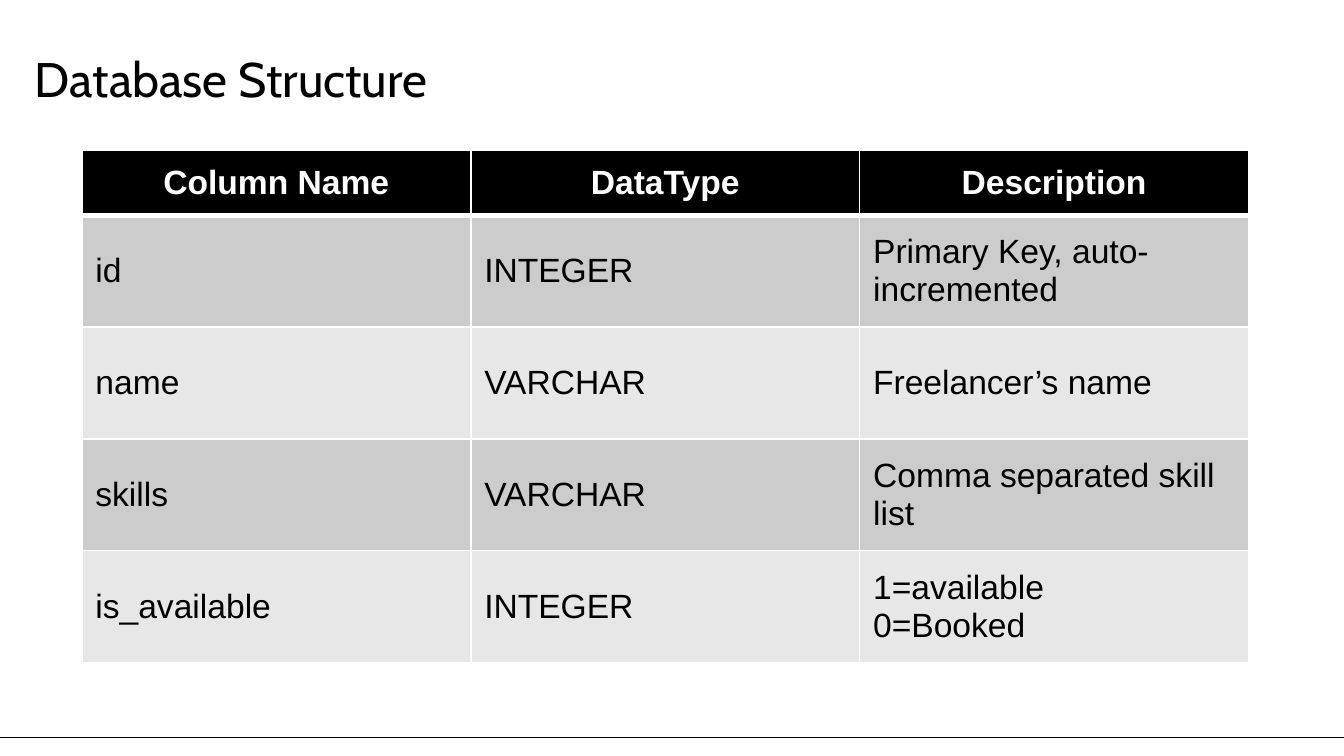
from lxml import etree
from pptx import Presentation
from pptx.dml.color import RGBColor
from pptx.enum.shapes import MSO_CONNECTOR
from pptx.enum.text import MSO_ANCHOR, MSO_AUTO_SIZE, PP_ALIGN
from pptx.oxml.ns import qn
from pptx.util import Inches, Pt

LEFT, CENTER = PP_ALIGN.LEFT, PP_ALIGN.CENTER
MIDDLE, BOTTOM = MSO_ANCHOR.MIDDLE, MSO_ANCHOR.BOTTOM
STRAIGHT = MSO_CONNECTOR.STRAIGHT
NO_FIT = MSO_AUTO_SIZE.NONE
TITLE_ONLY = 5

BLACK, WHITE = "000000", "FFFFFF"
BANDS = ["CCCCCC", "E7E7E7"]
ROWS = [
    ["Column Name", "DataType", "Description"],
    ["id", "INTEGER", "Primary Key, auto-incremented"],
    ["name", "VARCHAR", "Freelancer’s name"],
    ["skills", "VARCHAR", "Comma separated skill list"],
    ["is_available", "INTEGER", "1=available\n0=Booked"],
]


def color(code):
    return RGBColor.from_string(code)


def write(frame, text, size=18, font="Arial", ink=BLACK, bold=False,
          align=LEFT):
    """Fill a text frame; each line of text becomes a paragraph."""
    frame.text = text
    for para in frame.paragraphs:
        para.alignment = align
        for run in para.runs:
            run.font.size = Pt(size)
            run.font.name = font
            run.font.bold = bold
            run.font.color.rgb = color(ink)


def add_title(slide, text):
    title = slide.shapes.title
    title.left, title.top = Inches(0.16), Inches(0.13)
    title.width, title.height = Inches(4.71), Inches(0.77)
    frame = title.text_frame
    frame.auto_size = NO_FIT
    frame.word_wrap = True
    frame.vertical_anchor = BOTTOM
    frame.margin_left = frame.margin_right = Inches(0.1)
    frame.margin_top = frame.margin_bottom = Inches(0.1)
    write(frame, text, size=26, font="Cabin")


def add_rule(slide, top):
    rule = slide.shapes.add_connector(
        STRAIGHT, 0, Inches(top), Inches(10), Inches(top))
    rule.line.color.rgb = color(BLACK)
    rule.line.width = Pt(0.75)
    etree.SubElement(rule._element.spPr, qn("a:effectLst"))


def set_edges(cell, top=1, bottom=1):
    """Draw white cell borders; widths are in points."""
    props = cell._tc.get_or_add_tcPr()
    for side, width in (("L", 1), ("R", 1), ("T", top), ("B", bottom)):
        edge = etree.SubElement(props, qn("a:ln" + side), w=str(Pt(width)))
        fill = etree.SubElement(edge, qn("a:solidFill"))
        etree.SubElement(fill, qn("a:srgbClr"), val=WHITE)


def add_grid(slide, rows):
    width, height, top_row = Inches(8.68), Inches(3.81), Inches(0.48)
    table = slide.shapes.add_table(
        len(rows), len(rows[0]), Inches(0.61), Inches(1.12),
        width, height).table
    body_row = (height - top_row) // (len(rows) - 1)
    for col in table.columns:
        col.width = width // len(rows[0])
    for r, texts in enumerate(rows):
        head = r == 0
        table.rows[r].height = top_row if head else body_row
        for c, text in enumerate(texts):
            cell = table.cell(r, c)
            # The rule under the header is shared with the first body row
            set_edges(cell, top=3 if r == 1 else 1, bottom=3 if head else 1)
            cell.fill.solid()
            cell.fill.fore_color.rgb = color(
                BLACK if head else BANDS[(r - 1) % 2])
            cell.vertical_anchor = MIDDLE
            write(cell.text_frame, text, ink=WHITE if head else BLACK,
                  bold=head, align=CENTER if head else LEFT)


def main():
    # A 16:9 slide
    deck = Presentation()
    deck.slide_width = Inches(10)
    deck.slide_height = deck.slide_width * 9 // 16
    slide = deck.slides.add_slide(deck.slide_layouts[TITLE_ONLY])

    # Footer rule, title and column table
    add_rule(slide, 5.49)
    add_title(slide, "Database Structure")
    add_grid(slide, ROWS)

    deck.save("out.pptx")


if __name__ == "__main__":
    main()
